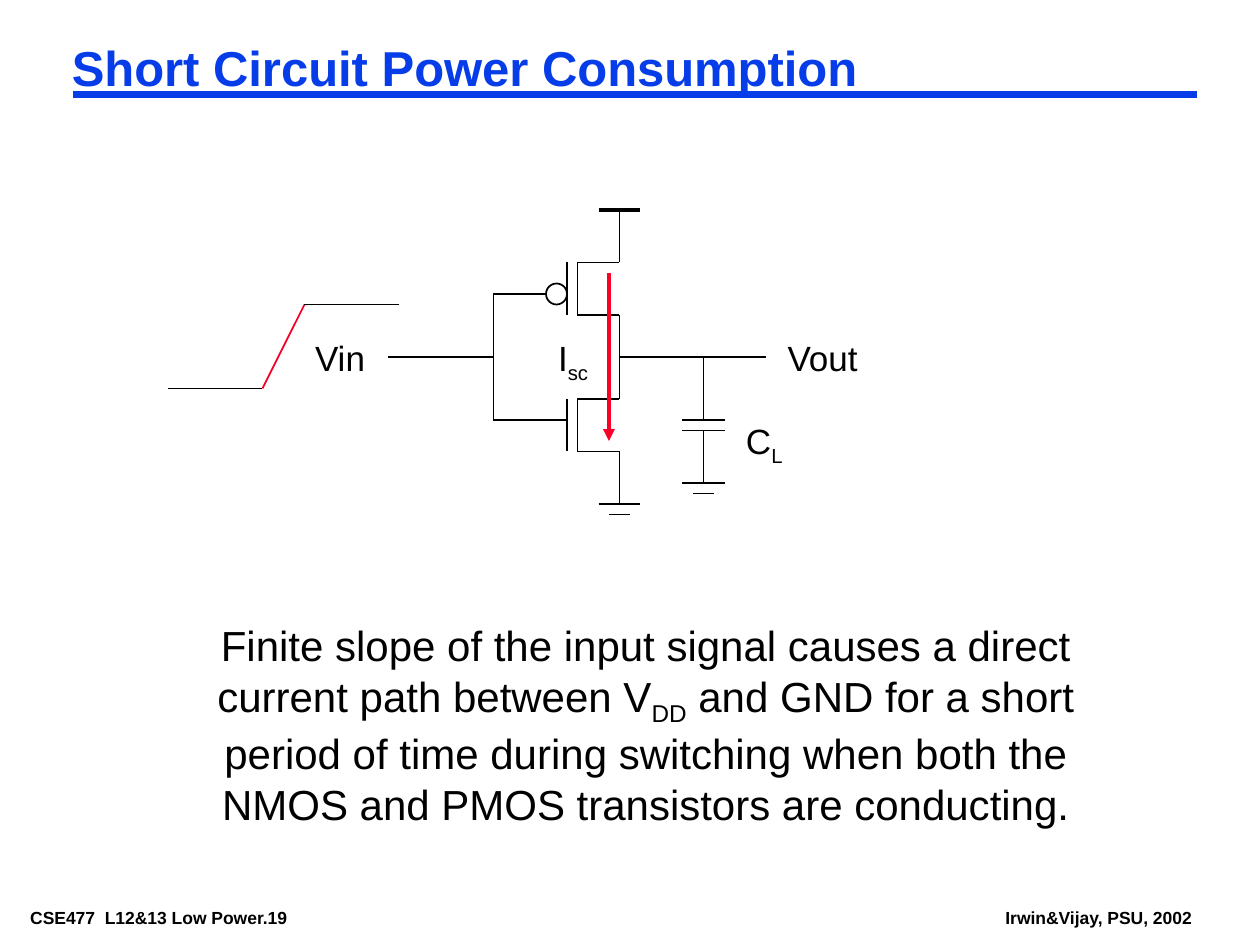
from dataclasses import dataclass

from lxml import etree
from pptx import Presentation
from pptx import util as u
from pptx.dml.color import RGBColor
from pptx.enum import shapes, text
from pptx.oxml.ns import qn


@dataclass(frozen=True)
class Theme:
    font: str = "Arial"
    ink: RGBColor = RGBColor(0x00, 0x00, 0x00)
    blue: RGBColor = RGBColor(0x06, 0x3D, 0xE8)
    red: RGBColor = RGBColor(0xFC, 0x01, 0x28)
    title: int = 28
    body: int = 24
    label: int = 20
    footer: int = 10
    thin: float = 1
    thick: float = 2.25
    rule: float = 4.5


def grid(n):
    """The circuit sits on a grid of twelve steps to the inch."""
    return u.Inches(n / 12)


class SlideBuilder:
    def __init__(self, slide, theme):
        self.slide = slide
        self.theme = theme

    def text(self, box, runs, size, color=None, bold=False, inset=(0, 0),
             wrap=False, align=text.PP_ALIGN.LEFT, spacing=None):
        """Add text; a run starting with "_" is set as a subscript."""
        frame = self.slide.shapes.add_textbox(*map(u.Inches, box)).text_frame
        frame.word_wrap = wrap
        frame.auto_size = text.MSO_AUTO_SIZE.SHAPE_TO_FIT_TEXT
        frame.margin_left = frame.margin_right = u.Inches(inset[0])
        frame.margin_top = frame.margin_bottom = u.Inches(inset[1])
        paragraph = frame.paragraphs[0]
        paragraph.alignment = align
        if spacing:
            paragraph.line_spacing = spacing
        for content in runs:
            run = paragraph.add_run()
            run.text = content.removeprefix("_")
            run.font.name = self.theme.font
            run.font.size = u.Pt(size)
            run.font.bold = bold
            run.font.color.rgb = color or self.theme.ink
            if content.startswith("_"):
                run.font._element.set("baseline", "-25000")

    def line(self, start, end, color=None, width=None, arrow=False):
        connector = self.slide.shapes.add_connector(
            shapes.MSO_CONNECTOR.STRAIGHT, *start, *end)
        connector.line.color.rgb = color or self.theme.ink
        connector.line.width = u.Pt(width or self.theme.thin)
        properties = connector._element.spPr
        if arrow:
            outline = properties.find(qn("a:ln"))
            etree.SubElement(outline, qn("a:tailEnd"), type="triangle")
        etree.SubElement(properties, qn("a:effectLst"))

    def wire(self, x1, y1, x2, y2, **style):
        self.line((grid(x1), grid(y1)), (grid(x2), grid(y2)), **style)

    def transistor(self, top):
        """Gate plate and channel, with the drain and source leads."""
        for x in (54, 55):
            self.wire(x, top, x, top + 5)
        for y in (top, top + 5):
            self.wire(55, y, 59, y)

    def ground(self, x, y):
        for half, drop in ((2, 0), (1, 1)):
            self.wire(x - half, y + drop, x + half, y + drop)

    def bubble(self, x, y, size):
        circle = self.slide.shapes.add_shape(
            shapes.MSO_SHAPE.OVAL, grid(x), grid(y), grid(size), grid(size))
        circle.shadow.inherit = False
        circle.fill.background()
        circle.line.color.rgb = self.theme.ink
        circle.line.width = u.Pt(self.theme.thin)


def main():
    deck = Presentation()
    deck.slide_width, deck.slide_height = u.Inches(10), u.Inches(7.5)
    theme = Theme()
    page = SlideBuilder(deck.slides.add_slide(deck.slide_layouts[6]), theme)

    # Footer
    for box, credit in (((0.17, 7.17, 2.7, 0.22), "CSE477  L12&13 Low Power.19"),
                        ((7.91, 7.17, 1.63, 0.22), "Irwin&Vijay, PSU, 2002")):
        page.text(box, [credit], theme.footer, bold=True, inset=(0.07, 0.03))

    # Title and rule
    page.line((u.Inches(0.58), u.Inches(0.75)), (u.Inches(9.5), u.Inches(0.75)),
              color=theme.blue, width=theme.rule)
    page.text((0.5, 0.33, 9, 0.46), ["Short Circuit Power Consumption"],
              theme.title, color=theme.blue, bold=True, inset=(0.07, 0.03),
              wrap=True, spacing=0.87)

    # Explanation
    page.text((1.25, 4.92, 7.75, 1.66),
              ["Finite slope of the input signal causes a direct current path "
               "between V", "_DD",
               " and GND for a short period of time during switching when both "
               "the NMOS and PMOS transistors are conducting."],
              theme.body, wrap=True, align=text.PP_ALIGN.CENTER)

    # Input ramp
    page.wire(16, 37, 25, 37)
    page.wire(25, 37, 29, 29, color=theme.red)
    page.wire(29, 29, 38, 29)

    # Inverter: PMOS above NMOS
    for top in (25, 38):
        page.transistor(top)
    page.bubble(52, 27, 2)

    # Input wiring to both gates
    for wire in ((37, 34, 47, 34), (47, 28, 47, 40),
                 (47, 28, 52, 28), (47, 40, 54, 40)):
        page.wire(*wire)

    # Supply, output and ground wiring
    page.wire(57, 20, 61, 20, width=theme.thick)
    for wire in ((59, 20, 59, 25), (59, 30, 59, 38),
                 (59, 43, 59, 48), (59, 34, 73, 34)):
        page.wire(*wire)
    page.ground(59, 48)

    # Load capacitor
    for plate in (40, 41):
        page.wire(65, plate, 69, plate)
    for start, end in ((34, 40), (41, 46)):
        page.wire(67, start, 67, end)
    page.ground(67, 46)

    # Signal labels, with room to stay on one line
    for box, runs in (((2.5, 2.67, 0.42, 0.33), ["Vin"]),
                      ((6.25, 2.67, 0.59, 0.33), ["Vout"]),
                      ((5.92, 3.33, 0.32, 0.38), ["C", "_L"]),
                      ((4.43, 2.67, 0.26, 0.38), ["I", "_sc"])):
        page.text(box, runs, theme.label)

    # Short-circuit current
    page.wire(58, 26, 58, 42, color=theme.red, width=theme.thick, arrow=True)

    deck.save("out.pptx")


if __name__ == "__main__":
    main()
